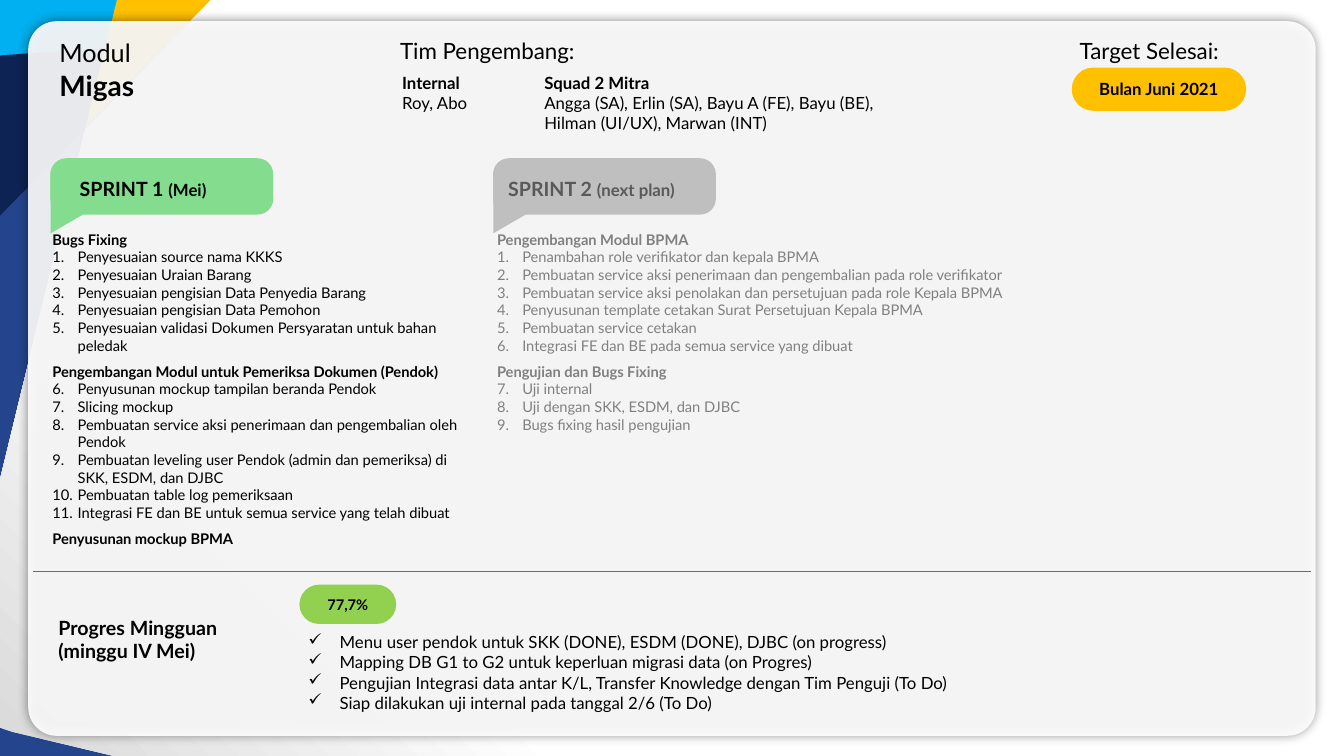
from lxml.etree import SubElement
from pptx import Presentation
from pptx.dml.color import RGBColor
from pptx.enum.shapes import MSO_CONNECTOR, MSO_SHAPE
from pptx.enum.text import MSO_ANCHOR, PP_ALIGN
from pptx.oxml.ns import qn
from pptx.util import Inches, Pt

BLACK = RGBColor(0x00, 0x00, 0x00)
WHITE = RGBColor(0xFF, 0xFF, 0xFF)
SILVER = RGBColor(0xD9, 0xD9, 0xD9)
NAVY = RGBColor(0x0D, 0x23, 0x53)
ROYAL = RGBColor(0x24, 0x45, 0x8E)
SKY = RGBColor(0x00, 0xB0, 0xF0)
AMBER = RGBColor(0xFF, 0xC0, 0x00)
MINT = RGBColor(0x84, 0xDC, 0x8E)
LIME = RGBColor(0x92, 0xD0, 0x50)
FOREST = RGBColor(0x54, 0x82, 0x35)
ASH = RGBColor(0xBF, 0xBF, 0xBF)
SLATE = RGBColor(0x59, 0x59, 0x59)
GRAY = RGBColor(0x80, 0x80, 0x80)
FONT = "Lato"

deck = Presentation()
deck.slide_width, deck.slide_height = Inches(13.33), Inches(7.5)
page = deck.slides.add_slide(deck.slide_layouts[6])
COLUMNS, ROWS = 1333, 750
UNIT = deck.slide_width / COLUMNS


def add_block(shapes, kind, place, color, corner=None):
    block = shapes.add_shape(kind, *[round(value * UNIT) for value in place])
    block.shadow.inherit = False
    block.fill.solid()
    block.fill.fore_color.rgb = color
    block.line.fill.background()
    if corner is not None:
        block.adjustments[0] = corner
    return block


def add_lines(frame, lines, size, color=BLACK):
    for index, (text, bold, bullet) in enumerate(lines):
        para = frame.paragraphs[0] if index == 0 else frame.add_paragraph()
        para.text = text
        para.font.name, para.font.size, para.font.bold = FONT, Pt(size), bold
        para.font.color.rgb = color
        if bullet is None:
            continue
        properties = para._p.get_or_add_pPr()
        indent = Inches(0.31 if bullet == "✓" else 0.25)
        properties.set("marL", str(Inches(0.41) if bullet == "✓" else indent))
        properties.set("indent", str(-indent))
        if bullet == "✓":
            mark = properties.makeelement(qn("a:buChar"), {"char": bullet})
        else:
            mark = properties.makeelement(
                qn("a:buAutoNum"), {"type": "arabicPeriod", "startAt": str(bullet)})
        properties.insert(0, mark)


backdrop = page.shapes.add_group_shape().shapes
add_block(backdrop, MSO_SHAPE.RECTANGLE, (0, 0, COLUMNS, ROWS), ROYAL)
outlines = [
    ([(116, 0), (COLUMNS, 0), (COLUMNS, ROWS), (113, ROWS), (12, 726), (0, 722), (0, 476)], None),
    ([(167, 43), (0, 214), (0, 55)], NAVY),
    ([(116, 0), (209, 0), (85, 126)], AMBER),
]
for points, color in outlines:
    builder = backdrop.build_freeform(*points[0], scale=UNIT)
    builder.add_line_segments(points[1:], close=True)
    outline = builder.convert_to_shape()
    outline.shadow.inherit = False
    outline.line.fill.background()
    if color is None:
        outline.fill.gradient()
        outline.fill.gradient_angle = 45
        for stop, shade, position in zip(outline.fill.gradient_stops, (SILVER, WHITE), (0, 0.27)):
            stop.color.rgb, stop.position = shade, position
        add_block(backdrop, MSO_SHAPE.RECTANGLE, (0, 0, 136, 64), SKY)
    else:
        outline.fill.solid()
        outline.fill.fore_color.rgb = color

panel = add_block(backdrop, MSO_SHAPE.ROUNDED_RECTANGLE, (28, 21, 1277, 709), WHITE, 0.04)
panel_color = panel._element.spPr.find(qn("a:solidFill"))[0]
SubElement(panel_color, qn("a:alpha"), val="91000")
effects = panel._element.spPr.find(qn("a:effectLst"))
shadow = SubElement(effects, qn("a:outerShdw"), blurRad=str(Inches(0.1)), dist="0", algn="ctr")
shadow_color = SubElement(shadow, qn("a:srgbClr"), val="000000")
SubElement(shadow_color, qn("a:alpha"), val="50000")

for left, color in ((50, MINT), (489, ASH)):
    bubble = page.shapes.add_group_shape().shapes
    add_block(bubble, MSO_SHAPE.ROUNDED_RECTANGLE, (left, 157, 221, 56), color, 0.28)
    tail = add_block(bubble, MSO_SHAPE.ISOSCELES_TRIANGLE, (left - 17, 182, 61, 53), color)
    tail.rotation = 210

progress = [
    "Menu user pendok untuk SKK (DONE), ESDM (DONE), DJBC (on progress)",
    "Mapping DB G1 to G2 untuk keperluan migrasi data (on Progres)",
    "Pengujian Integrasi data antar K/L, Transfer Knowledge dengan Tim Penguji (To Do)",
    "Siap dilakukan uji internal pada tanggal 2/6 (To Do)",
]
texts = [
    ((49, 63, 292, 44), 20, [("Migas", True, None)]),
    ((49, 32, 292, 40), 18, [("Modul", False, None)]),
    ((387, 32, 221, 37), 16, [("Tim Pengembang:", False, None)]),
    ((389, 67, 130, 50), 12, [("Internal", True, None), ("Roy, Abo", False, None)]),
    ((530, 67, 351, 71), 12, [
        ("Squad 2 Mitra", True, None),
        ("Angga (SA), Erlin (SA), Bayu A (FE), Bayu (BE), Hilman (UI/UX), Marwan (INT)", False, None)]),
    ((48, 606, 221, 57), 14, [("Progres Mingguan", True, None), ("(minggu IV Mei)", True, None)]),
    ((286, 622, 765, 91), 12, [(item, False, "✓") for item in progress]),
    ((1061, 32, 221, 37), 16, [("Target Selesai:", False, None)]),
]
for place, size, lines in texts:
    box = page.shapes.add_textbox(*[round(value * UNIT) for value in place])
    box.text_frame.word_wrap = True
    add_lines(box.text_frame, lines, size)

divider = page.shapes.add_connector(
    MSO_CONNECTOR.STRAIGHT, *[round(value * UNIT) for value in (33, 567, 1300, 567)])
divider.line.color.rgb = FOREST
divider.line.width = Pt(0.5)
SubElement(divider._element.spPr, qn("a:effectLst"))

sprints = [
    ("SPRINT 1 ", "(Mei)", BLACK, BLACK, 0.37, 441, [
        ("Bugs Fixing", [
            "Penyesuaian source nama KKKS",
            "Penyesuaian Uraian Barang",
            "Penyesuaian pengisian Data Penyedia Barang",
            "Penyesuaian pengisian Data Pemohon",
            "Penyesuaian validasi Dokumen Persyaratan untuk bahan peledak"]),
        ("Pengembangan Modul untuk Pemeriksa Dokumen (Pendok)", [
            "Penyusunan mockup tampilan beranda Pendok",
            "Slicing mockup",
            "Pembuatan service aksi penerimaan dan pengembalian oleh Pendok",
            "Pembuatan leveling user Pendok (admin dan pemeriksa) di SKK, ESDM, dan DJBC",
            "Pembuatan table log pemeriksaan",
            "Integrasi FE dan BE untuk semua service yang telah dibuat"]),
        ("Penyusunan mockup BPMA", [])]),
    ("SPRINT 2 ", "(next plan)", SLATE, GRAY, 0.21, 532, [
        ("Pengembangan Modul BPMA", [
            "Penambahan role verifikator dan kepala BPMA",
            "Pembuatan service aksi penerimaan dan pengembalian pada role verifikator",
            "Pembuatan service aksi penolakan dan persetujuan pada role Kepala BPMA",
            "Penyusunan template cetakan Surat Persetujuan Kepala BPMA",
            "Pembuatan service cetakan",
            "Integrasi FE dan BE pada semua service yang dibuat"]),
        ("Pengujian dan Bugs Fixing", [
            "Uji internal",
            "Uji dengan SKK, ESDM, dan DJBC",
            "Bugs fixing hasil pengujian"])]),
]
table_place = [round(value * UNIT) for value in (42, 167, 973, 382)]
table = page.shapes.add_table(2, len(sprints), *table_place).table
table.first_row = table.horz_banding = False
table._tbl.tblPr.find(qn("a:tableStyleId")).text = "{2D5ABB26-0587-4C30-8999-92F81FD0307C}"
table.rows[0].height, table.rows[1].height = round(40 * UNIT), round(342 * UNIT)
for column, (name, period, title_color, color, margin, width, sections) in enumerate(sprints):
    table.columns[column].width = round(width * UNIT)
    header, body = table.cell(0, column), table.cell(1, column)
    header.fill.background()
    body.fill.background()
    header.vertical_anchor = MSO_ANCHOR.MIDDLE
    header.margin_left = Inches(margin)
    body.margin_top = Inches(0.22)
    add_lines(header.text_frame, [(name, True, None)], 14, title_color)
    span = header.text_frame.paragraphs[0].add_run()
    span.text, span.font.size = period, Pt(12)
    lines, start = [], 1
    for heading, items in sections:
        lines.append((heading, True, None))
        lines.extend((item, False, start) for item in items)
        start += len(items)
    add_lines(body.text_frame, lines, 10.5, color)
    for para in body.text_frame.paragraphs[1:]:
        if para.font.bold:
            para.space_before = Pt(6)

pills = [
    ("Bulan Juni 2021", (1063, 67, 173, 43), AMBER, 12),
    ("77,7%", (297, 580, 96, 39), LIME, 10.5),
]
for label, place, color, size in pills:
    pill = add_block(page.shapes, MSO_SHAPE.ROUNDED_RECTANGLE, place, color, 0.5)
    add_lines(pill.text_frame, [(label, True, None)], size)
    pill.text_frame.word_wrap = False
    pill.text_frame.vertical_anchor = MSO_ANCHOR.MIDDLE
    pill.text_frame.paragraphs[0].alignment = PP_ALIGN.CENTER

deck.save("out.pptx")
